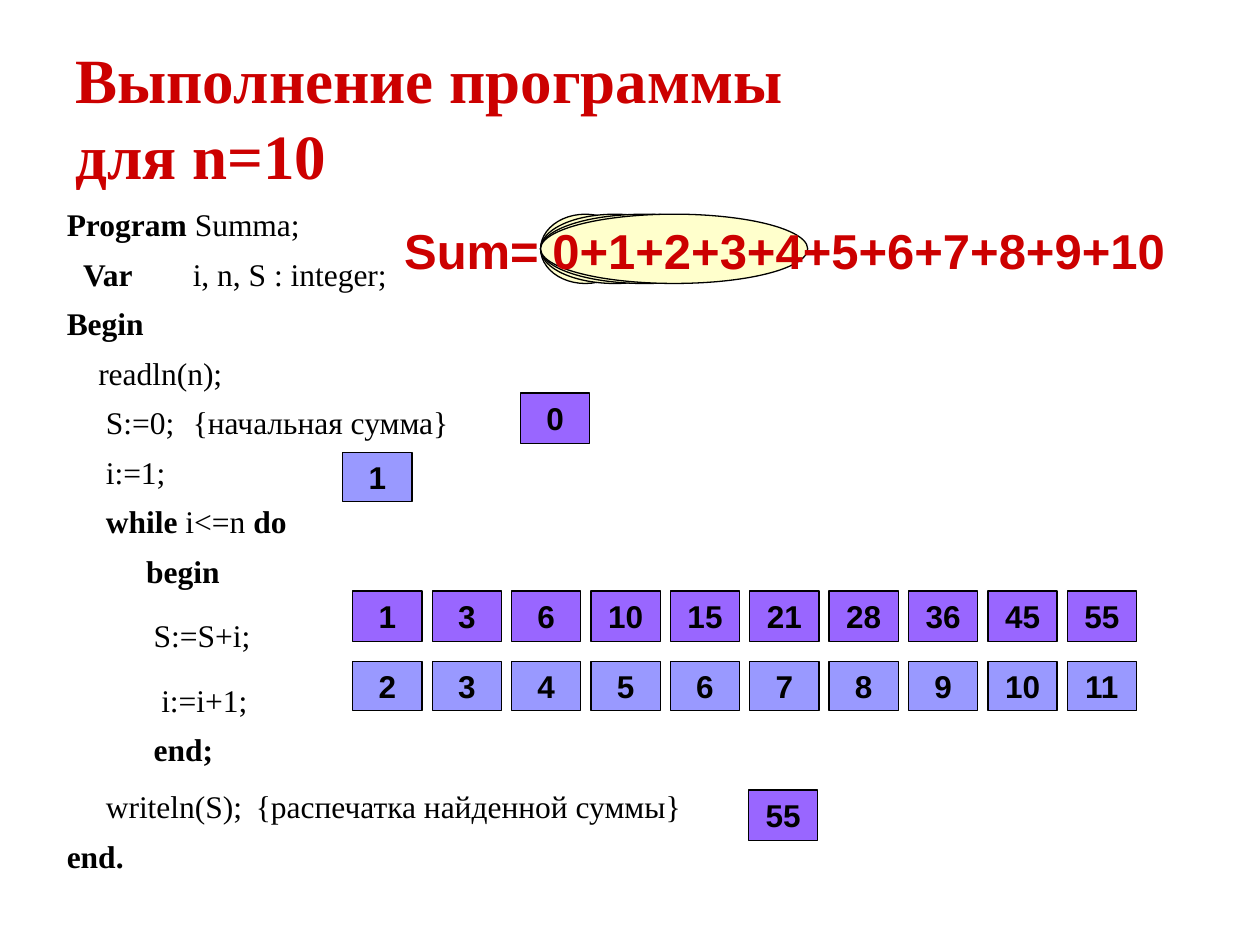
from lxml import etree
from pptx import Presentation
from pptx.dml.color import RGBColor
from pptx.enum.shapes import MSO_SHAPE
from pptx.enum.text import MSO_ANCHOR, MSO_AUTO_SIZE, PP_ALIGN
from pptx.oxml.ns import qn
from pptx.util import Inches, Pt

RED, BLACK = "CC0000", "000000"
PURPLE, BLUE, CREAM = "9966FF", "9999FF", "FFFFCC"
CELL_WIDTH, CELL_STEP = 0.55, 0.63
SUM_HEIGHT, BLUE_HEIGHT = 0.4, 0.39

CODE_FONT = {"name": "Times New Roman", "size": Pt(18)}
TITLE_FONT = {"name": "Times New Roman", "size": Pt(36), "bold": True}
FORMULA_FONT = {"name": "Arial", "size": Pt(28), "bold": True}
CELL_FONT = {"name": "Arial", "size": Pt(18), "bold": True}

CODE_LINES = [
    (0, 1.1, None, [("Program", True), (" Summa;", False)]),
    (0.13, 1.1, 0.64, [("Var", True), ("\ti, n, S : integer;", False)]),
    (0, 1.1, None, [("Begin", True)]),
    (0.25, 1.1, None, [("readln(n);", False)]),
    (0.31, 1.1, 1.12, [("S:=0;\t{начальная сумма}", False)]),
    (0.31, 1.1, None, [("i:=1;", False)]),
    (0.31, 1.1, None, [("while", True), (" i<=n ", False), ("do", True)]),
    (0.63, 1.1, None, [("begin", True)]),
    (0.69, 1.5, None, [("S:=S+i;", False)]),
    (0.75, 1.5, None, [("i:=i+1;", False)]),
    (0.69, 1.1, None, [("end;", True)]),
    (0.31, 1.3, 1.65, [("writeln(S);\t{распечатка найденной суммы}", False)]),
    (0, 1.1, None, [("end.", True)]),
]


def color(value):
    return RGBColor.from_string(value)


def apply(target, formats):
    for name, value in formats.items():
        setattr(target, name, value)


def style_font(font, formats, value):
    apply(font, formats)
    font.color.rgb = color(value)


def place(shape, left, top, width, height):
    apply(shape, {"left": Inches(left), "top": Inches(top),
                  "width": Inches(width), "height": Inches(height)})


def add_outlined(page, kind, left, top, width, height, fill):
    shape = page.shapes.add_shape(kind, Inches(left), Inches(top), Inches(width), Inches(height))
    shape.shadow.inherit = False
    shape.fill.solid()
    shape.fill.fore_color.rgb = color(fill)
    shape.line.color.rgb = color(BLACK)
    shape.line.width = Pt(0.75)
    return shape


def add_title(page, left, top, width, height):
    title = page.shapes.title
    place(title, left, top, width, height)
    frame = title.text_frame
    apply(frame, {"vertical_anchor": MSO_ANCHOR.MIDDLE, "auto_size": MSO_AUTO_SIZE.NONE,
                  "text": "Выполнение программы\vдля n=10"})
    para = frame.paragraphs[0]
    para.alignment = PP_ALIGN.LEFT
    for span in para.runs:
        style_font(span.font, TITLE_FONT, RED)


def format_code_line(para, indent, spacing, stop):
    apply(para, {"line_spacing": spacing, "space_before": Pt(4.5)})
    properties = para._p.get_or_add_pPr()
    properties.set("marL", "0")
    properties.set("indent", str(Inches(indent)))
    etree.SubElement(properties, qn("a:buNone"))
    if stop:
        tabs = etree.SubElement(properties, qn("a:tabLst"))
        etree.SubElement(tabs, qn("a:tab"), pos=str(Inches(stop)), algn="l")


def add_code(page, left, top, width, height):
    body = page.placeholders[1]
    place(body, left, top, width, height)
    frame = body.text_frame
    apply(frame, {"auto_size": MSO_AUTO_SIZE.NONE, "vertical_anchor": MSO_ANCHOR.TOP})
    for number, (indent, spacing, stop, spans) in enumerate(CODE_LINES):
        para = frame.add_paragraph() if number else frame.paragraphs[0]
        format_code_line(para, indent, spacing, stop)
        for text, bold in spans:
            span = para.add_run()
            span.text = text
            style_font(span.font, {**CODE_FONT, "bold": bold}, BLACK)


def add_formula(page, left, top, width, height):
    for step in range(4):
        add_outlined(page, MSO_SHAPE.OVAL, left + 1.18, top, 0.71 + 0.47 * step, 0.55, CREAM)
    box = page.shapes.add_textbox(Inches(left), Inches(top), Inches(width), Inches(height))
    box.text_frame.word_wrap = True
    para = box.text_frame.paragraphs[0]
    para.text = "Sum= 0+1+2+3+4+5+6+7+8+9+10"
    style_font(para.font, FORMULA_FONT, RED)
    style_font(para.runs[0].font, FORMULA_FONT, RED)


def add_cells(page, left, top, height, values, fill):
    for column, value in enumerate(values):
        cell = add_outlined(page, MSO_SHAPE.RECTANGLE, left + column * CELL_STEP, top,
                            CELL_WIDTH, height, fill)
        frame = cell.text_frame
        apply(frame, {"word_wrap": False, "vertical_anchor": MSO_ANCHOR.MIDDLE,
                      "text": str(value)})
        para = frame.paragraphs[0]
        para.alignment = PP_ALIGN.CENTER
        style_font(para.runs[0].font, CELL_FONT, BLACK)


def add_trace(page, left, top):
    sums = [count * (count + 1) // 2 for count in range(1, 11)]
    add_cells(page, left, top, SUM_HEIGHT, sums, PURPLE)
    add_cells(page, left, top + 0.56, BLUE_HEIGHT, range(2, 12), BLUE)


def main():
    deck = Presentation()
    apply(deck, {"slide_width": Inches(10), "slide_height": Inches(7.5)})
    page = deck.slides.add_slide(deck.slide_layouts[1])
    add_title(page, 0.5, 0.3, 9.23, 1.25)
    add_code(page, 0.43, 1.55, 6.3, 5.75)
    add_formula(page, 3.11, 1.7, 6.46, 0.57)
    add_trace(page, 2.8, 4.69)
    add_cells(page, 4.13, 3.12, SUM_HEIGHT, [0], PURPLE)
    add_cells(page, 2.72, 3.59, BLUE_HEIGHT, [1], BLUE)
    add_cells(page, 5.94, 6.27, SUM_HEIGHT, [55], PURPLE)
    deck.save("out.pptx")


if __name__ == "__main__":
    main()
